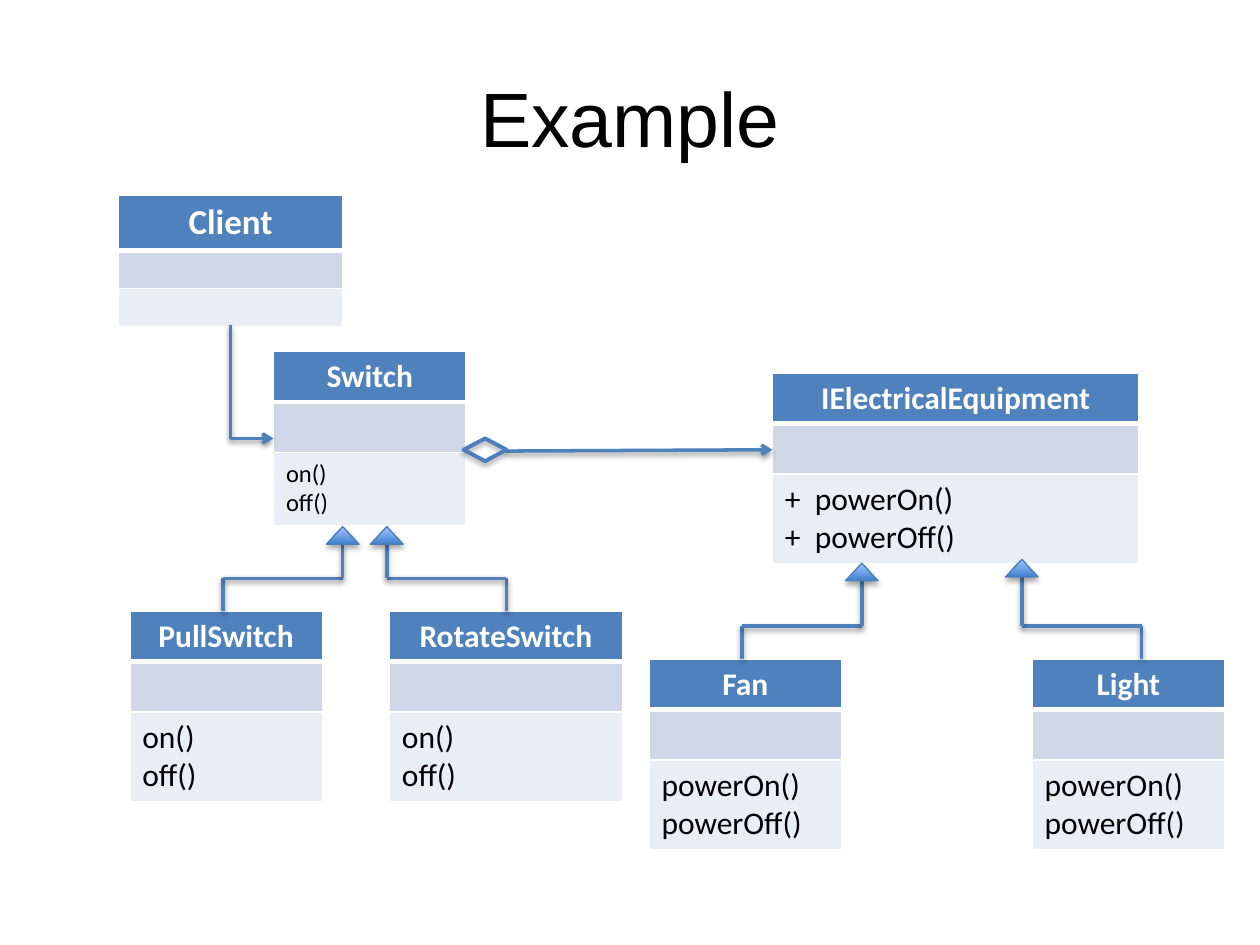
from lxml.etree import SubElement
from pptx import Presentation
from pptx.dml.color import RGBColor
from pptx.enum.shapes import MSO_CONNECTOR as Connector, MSO_SHAPE as Shape
from pptx.enum.text import MSO_ANCHOR as Anchor, PP_ALIGN as Align
from pptx.oxml import parse_xml
from pptx.oxml.ns import nsdecls, qn
from pptx.util import Inches, Pt

WHITE = RGBColor(0xFF, 0xFF, 0xFF)
BLACK = RGBColor(0, 0, 0)
BLUE = RGBColor(0x4F, 0x81, 0xBD)
OUTLINE = RGBColor(0x4B, 0x7E, 0xBC)
GRADIENT = RGBColor(0x3F, 0x80, 0xCE), RGBColor(0xA4, 0xC4, 0xFF)
ROW_FILLS = BLUE, RGBColor(0xD0, 0xD8, 0xE8), RGBColor(0xE9, 0xED, 0xF4)

SWITCH_METHODS = ["on()", "off()"]
POWER_METHODS = ["powerOn()", "powerOff()"]
TALL_ROWS = 0.4, 0.4, 0.71
SWITCH_ROWS = 0.4, 0.4, 0.58
CLIENT_ROWS = 0.44, 0.29, 0.3

# name, methods, left, top, width, row heights, sizes of header, empty and method text
CLASSES = [
    ("Switch", SWITCH_METHODS, 2.17, 2.79, 1.53, SWITCH_ROWS, (18, 18, 14)),
    ("Client", [], 0.94, 1.55, 1.78, CLIENT_ROWS, (20, 12, 12)),
    ("PullSwitch", SWITCH_METHODS, 1.03, 4.85, 1.53, TALL_ROWS, (18, 18, 18)),
    ("IElectricalEquipment", ["+  powerOn()", "+  powerOff()"],
     6.13, 2.96, 2.91, TALL_ROWS, (18, 18, 18)),
    ("Fan", POWER_METHODS, 5.15, 5.23, 1.53, TALL_ROWS, (18, 18, 18)),
    ("Light", POWER_METHODS, 8.19, 5.23, 1.53, TALL_ROWS, (18, 18, 18)),
    ("RotateSwitch", SWITCH_METHODS, 3.09, 4.85, 1.85, TALL_ROWS, (18, 18, 18)),
]
# child x, child top, parent x, parent bottom
INHERITANCES = [
    (1.77, 4.85, 2.72, 4.18),
    (4.02, 4.85, 3.07, 4.18),
    (5.89, 5.23, 6.84, 4.47),
    (9.06, 5.23, 8.11, 4.44),
]
TRIANGLE_WIDTH, TRIANGLE_HEIGHT = 0.26, 0.14
STEM = 0.26


def write(frame, lines, size, color, bold=False, align=Align.LEFT, font="Calibri"):
    for index, line in enumerate(lines):
        paragraph = frame.paragraphs[0] if index == 0 else frame.add_paragraph()
        paragraph.alignment = align
        run = paragraph.add_run()
        run.text = line
        run.font.size, run.font.name, run.font.bold = Pt(size), font, bold
        run.font.color.rgb = color
    if not lines:
        SubElement(frame.paragraphs[0]._p, qn("a:endParaRPr"), sz=str(size * 100))


def add_borders(cell, top, bottom):
    properties = cell._tc.get_or_add_tcPr()
    for index, (side, width) in enumerate(zip("LRTB", (1, 1, top, bottom))):
        properties.insert(index, parse_xml(
            f'<a:ln{side} {nsdecls("a")} w="{Pt(width)}"><a:solidFill>'
            f'<a:srgbClr val="{WHITE}"/></a:solidFill></a:ln{side}>'))


def add_class(slide, name, methods, left, top, width, heights, sizes):
    table = slide.shapes.add_table(3, 1, Inches(left), Inches(top), Inches(width),
                                   Inches(sum(heights))).table
    formats = [dict(color=WHITE, bold=True, align=Align.CENTER),
               dict(color=BLACK), dict(color=BLACK)]
    borders = [(1, 3), (3, 1), (1, 1)]
    for row, lines in enumerate(([name], [], methods)):
        table.rows[row].height = Inches(heights[row])
        cell = table.cell(row, 0)
        cell.fill.solid()
        cell.fill.fore_color.rgb = ROW_FILLS[row]
        add_borders(cell, *borders[row])
        write(cell.text_frame, lines, sizes[row], **formats[row])


def add_shadow(shape, opacity, distance):
    properties = shape._element.spPr
    properties.append(parse_xml(
        f'<a:effectLst {nsdecls("a")}><a:outerShdw blurRad="{Pt(3.1)}" '
        f'dist="{Pt(distance)}" dir="5400000" rotWithShape="0"><a:srgbClr val="000000">'
        f'<a:alpha val="{opacity * 1000}"/></a:srgbClr></a:outerShdw></a:effectLst>'))


def add_line(slide, start, end, kind=Connector.STRAIGHT, arrow=False):
    line = slide.shapes.add_connector(kind, *map(Inches, (*start, *end)))
    line.line.color.rgb = BLUE
    line.line.width = Pt(2)
    if arrow:
        SubElement(line.line._get_or_add_ln(), qn("a:tailEnd"), type="arrow")
    add_shadow(line, 38, 1.6)
    return line


def add_marker(slide, kind, left, top, width, height, line_width, filled):
    marker = slide.shapes.add_shape(kind, *map(Inches, (left, top, width, height)))
    if filled:
        marker.fill.gradient()
        marker.fill.gradient_angle = 90
        for stop, color in zip(marker.fill.gradient_stops, GRADIENT):
            stop.color.rgb = color
    else:
        marker.fill.background()
    marker.line.color.rgb = OUTLINE
    marker.line.width = Pt(line_width)
    add_shadow(marker, 35, 1.8)


def add_inheritance(slide, child_x, child_top, parent_x, parent_bottom):
    bend = child_top - STEM
    points = [(child_x, child_top), (child_x, bend), (parent_x, bend),
              (parent_x, parent_bottom + TRIANGLE_HEIGHT)]
    for start, end in zip(points, points[1:]):
        add_line(slide, start, end)
    add_marker(slide, Shape.ISOSCELES_TRIANGLE, parent_x - TRIANGLE_WIDTH / 2, parent_bottom,
               TRIANGLE_WIDTH, TRIANGLE_HEIGHT, 0.75, filled=True)


def add_client_arrow(slide):
    arrow = add_line(slide, (2.45, 2.86), (1.55, 3.2), Connector.ELBOW, arrow=True)
    properties = arrow._element.spPr
    properties.find(qn("a:xfrm")).set("rot", str(270 * 60000))
    properties.find(qn("a:prstGeom")).set("prst", "bentConnector2")


def main():
    presentation = Presentation()
    presentation.slide_width, presentation.slide_height = Inches(10), Inches(7.5)
    slide = presentation.slides.add_slide(presentation.slide_layouts[6])

    title = slide.shapes.add_textbox(*map(Inches, (0.5, 0.3, 9, 1.25))).text_frame
    title.word_wrap = True
    title.vertical_anchor = Anchor.MIDDLE
    write(title, ["Example"], 44, BLACK, align=Align.CENTER, font="Arial")

    for item in CLASSES:
        add_class(slide, *item)
    for inheritance in INHERITANCES:
        add_inheritance(slide, *inheritance)
    add_client_arrow(slide)
    add_line(slide, (4.02, 3.58), (6.13, 3.57), arrow=True)
    add_marker(slide, Shape.DIAMOND, 3.68, 3.48, 0.34, 0.18, 2.25, filled=False)
    presentation.save("out.pptx")


if __name__ == "__main__":
    main()
